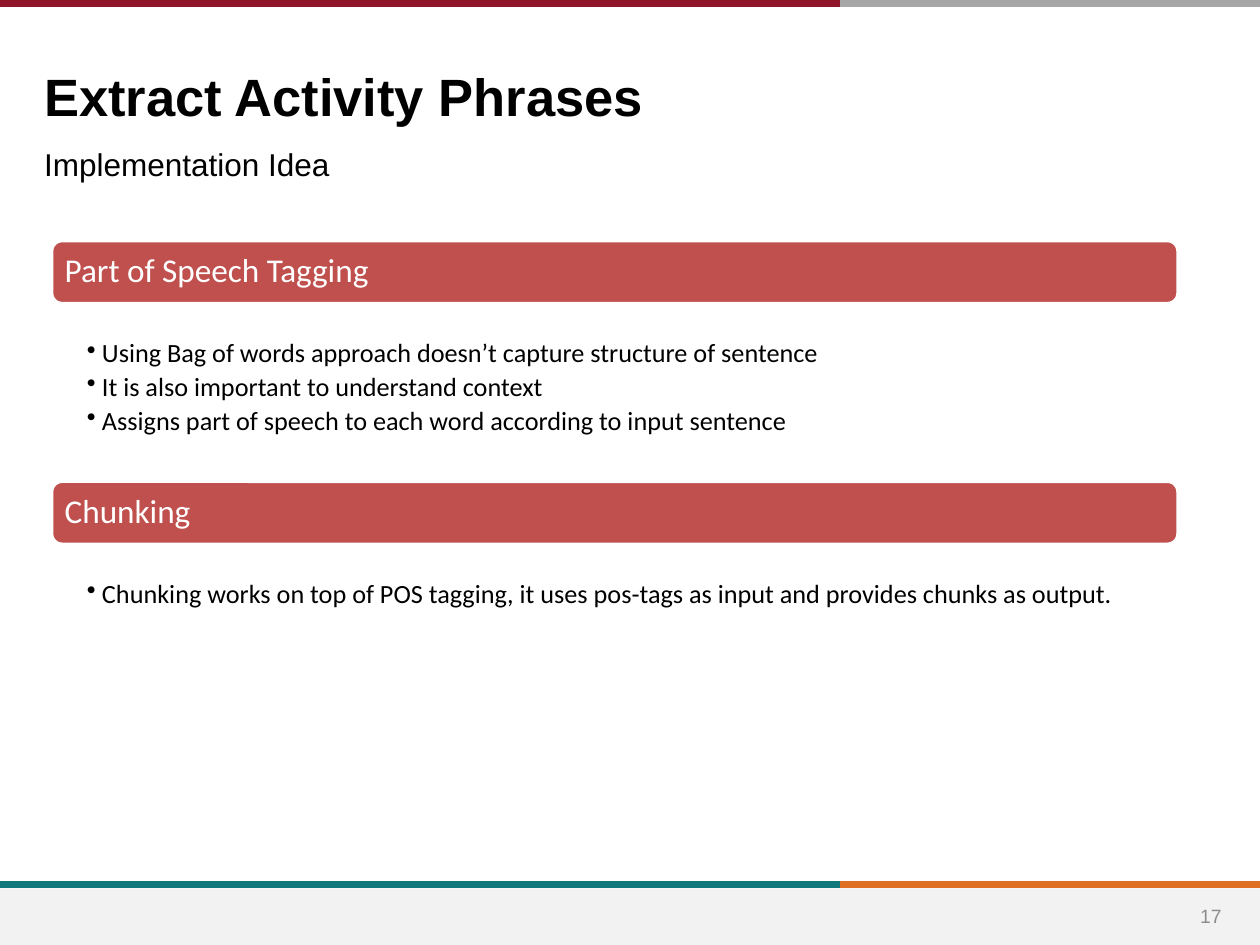
from lxml.etree import SubElement
from pptx import Presentation
from pptx.dml.color import RGBColor
from pptx.enum.shapes import MSO_CONNECTOR, MSO_SHAPE
from pptx.enum.text import MSO_ANCHOR as Anchor, MSO_AUTO_SIZE as AutoSize, PP_ALIGN as Align
from pptx.oxml.ns import qn
from pptx.util import Inches, Pt

SLIDE_WIDTH, SLIDE_HEIGHT = 10, 7.5
SPLIT = 6.67
FOOTER_TOP = 7.05
SECTION_LEFT, SECTION_WIDTH, HEADER_HEIGHT = 0.41, 8.94, 0.5
LIST_GAP = 0.26

SECTIONS = [
    (1.91, "Part of Speech Tagging", [
        "Using Bag of words approach doesn’t capture structure of sentence",
        "It is also important to understand context",
        "Assigns part of speech to each word according to input sentence",
    ]),
    (3.82, "Chunking", [
        "Chunking works on top of POS tagging, it uses pos-tags as input "
        "and provides chunks as output.",
    ]),
]


def color(value):
    return RGBColor.from_string(value)


def set_font(paragraph, size, name, value, bold=False):
    font = paragraph.font
    font.size, font.name, font.bold = Pt(size), name, bold
    font.color.rgb = color(value)


def set_margins(frame, left, top, right, bottom):
    frame.margin_left, frame.margin_top = Inches(left), Inches(top)
    frame.margin_right, frame.margin_bottom = Inches(right), Inches(bottom)


def set_bullet(paragraph, character=None, indent=0):
    """Give the paragraph a hanging bullet, or none without a character."""
    properties = paragraph._p.get_or_add_pPr()
    properties.set("marL", str(Inches(indent)))
    properties.set("indent", str(-Inches(indent)))
    if character:
        SubElement(properties, qn("a:buChar")).set("char", character)
    else:
        SubElement(properties, qn("a:buNone"))


def add_stripe(slide, y, left_color, right_color):
    for start, end, value in ((0, SPLIT, left_color), (SPLIT, SLIDE_WIDTH, right_color)):
        line = slide.shapes.add_connector(
            MSO_CONNECTOR.STRAIGHT, Inches(start), Inches(y), Inches(end), Inches(y))
        line.line.color.rgb = color(value)
        line.line.width = Pt(4)
        SubElement(line._element.spPr, qn("a:effectLst"))


def add_block(slide, kind, left, top, width, height, fill):
    shape = slide.shapes.add_shape(
        kind, Inches(left), Inches(top), Inches(width), Inches(height))
    shape.shadow.inherit = False
    shape.fill.solid()
    shape.fill.fore_color.rgb = color(fill)
    shape.line.fill.background()
    return shape


def add_header(slide, top, text):
    header = add_block(slide, MSO_SHAPE.ROUNDED_RECTANGLE,
                       SECTION_LEFT, top, SECTION_WIDTH, HEADER_HEIGHT, "C0504D")
    header.line.color.rgb = color("FFFFFF")
    header.line.width = Pt(2)
    frame = header.text_frame
    frame.vertical_anchor = Anchor.MIDDLE
    set_margins(frame, 0.08, 0.08, 0.08, 0.08)
    paragraph = frame.paragraphs[0]
    paragraph.text = text
    paragraph.alignment = Align.LEFT
    paragraph.line_spacing = 0.9
    set_font(paragraph, 19, "Calibri", "FFFFFF")


def add_bullets(slide, top, items):
    box = slide.shapes.add_textbox(
        Inches(SECTION_LEFT), Inches(top), Inches(SECTION_WIDTH),
        Inches(0.33 + 0.27 * (len(items) - 1)))
    frame = box.text_frame
    frame.word_wrap = True
    set_margins(frame, 0.28, 0.03, 0.15, 0.03)
    frame.text = "\n".join(items)
    for paragraph in frame.paragraphs:
        paragraph.line_spacing = 0.9
        paragraph.space_after = Pt(3)
        set_bullet(paragraph, "•", 0.12)
        set_font(paragraph, 15, "Calibri", "000000")


def add_page_number(slide, number):
    box = slide.shapes.add_textbox(Inches(9.35), Inches(7.07), Inches(0.52), Inches(0.4))
    frame = box.text_frame
    frame.word_wrap = True
    frame.vertical_anchor = Anchor.MIDDLE
    paragraph = frame.paragraphs[0]
    paragraph.text = number
    paragraph.alignment = Align.CENTER
    set_font(paragraph, 11, "Arial", "8C8C8C")


def fill_placeholder(shape, text, left, top, width, height, size, bold=False):
    shape.left, shape.top = Inches(left), Inches(top)
    shape.width, shape.height = Inches(width), Inches(height)
    frame = shape.text_frame
    frame.auto_size = AutoSize.NONE
    frame.vertical_anchor = Anchor.TOP
    paragraph = frame.paragraphs[0]
    paragraph.text = text
    paragraph.alignment = Align.LEFT
    paragraph.space_before = Pt(0)
    set_bullet(paragraph)
    set_font(paragraph, size, "Arial", "000000", bold)


def main():
    presentation = Presentation()
    presentation.slide_width = Inches(SLIDE_WIDTH)
    presentation.slide_height = Inches(SLIDE_HEIGHT)
    slide = presentation.slides.add_slide(presentation.slide_layouts[1])

    add_stripe(slide, 7.02, "0F787D", "DF7023")
    add_block(slide, MSO_SHAPE.RECTANGLE, 0, FOOTER_TOP,
              SLIDE_WIDTH, SLIDE_HEIGHT - FOOTER_TOP, "F2F2F2")
    add_stripe(slide, 0.03, "90152A", "A6A6A6")

    for top, heading, items in SECTIONS:
        add_header(slide, top, heading)
        add_bullets(slide, top + HEADER_HEIGHT + LIST_GAP, items)

    add_page_number(slide, "17")
    fill_placeholder(slide.shapes.title, "Extract Activity Phrases",
                     0.25, 0.46, 7.99, 0.59, 30, bold=True)
    fill_placeholder(slide.placeholders[1], "Implementation Idea",
                     0.25, 1.1, 9.51, 0.45, 18)
    presentation.save("out.pptx")


if __name__ == "__main__":
    main()
